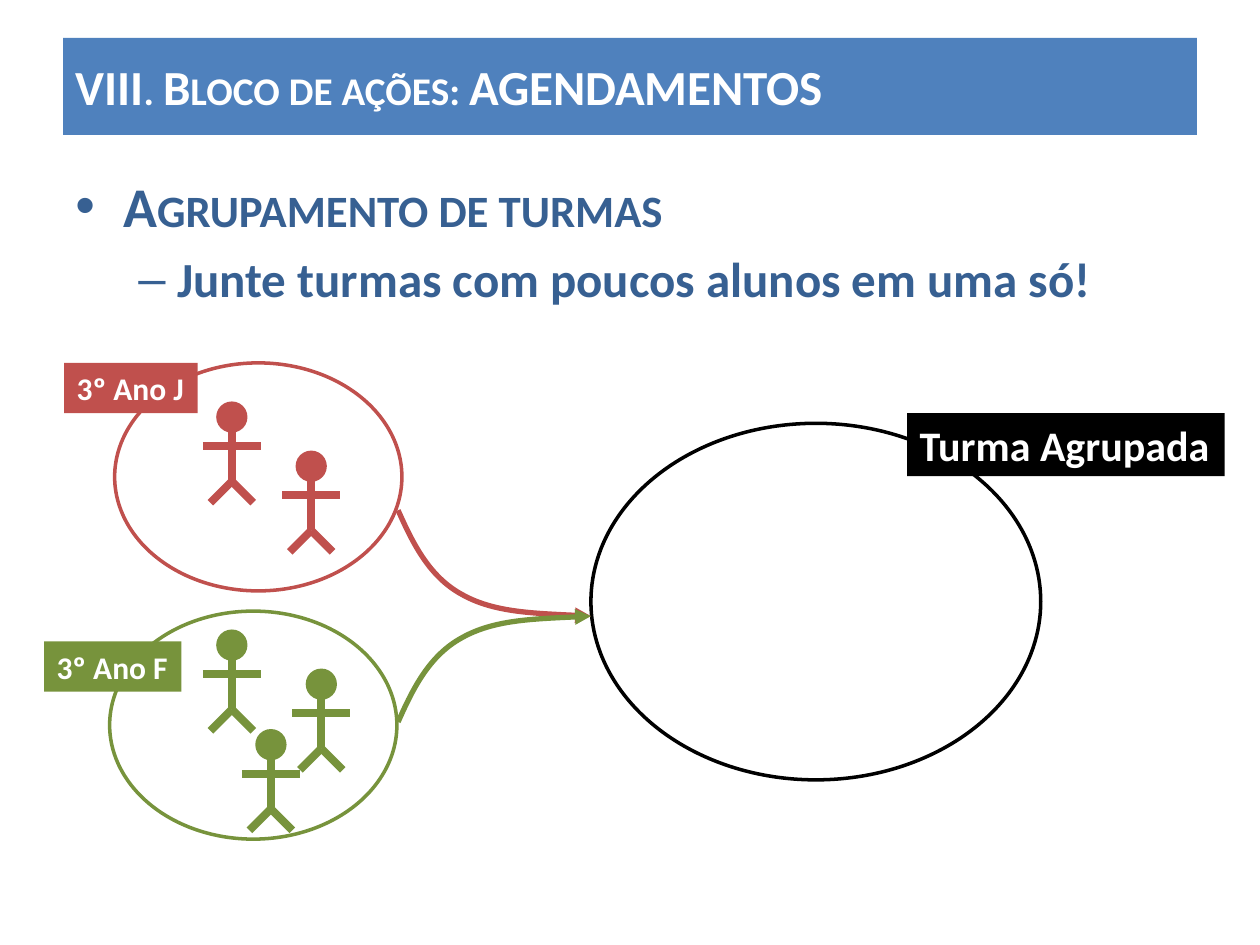
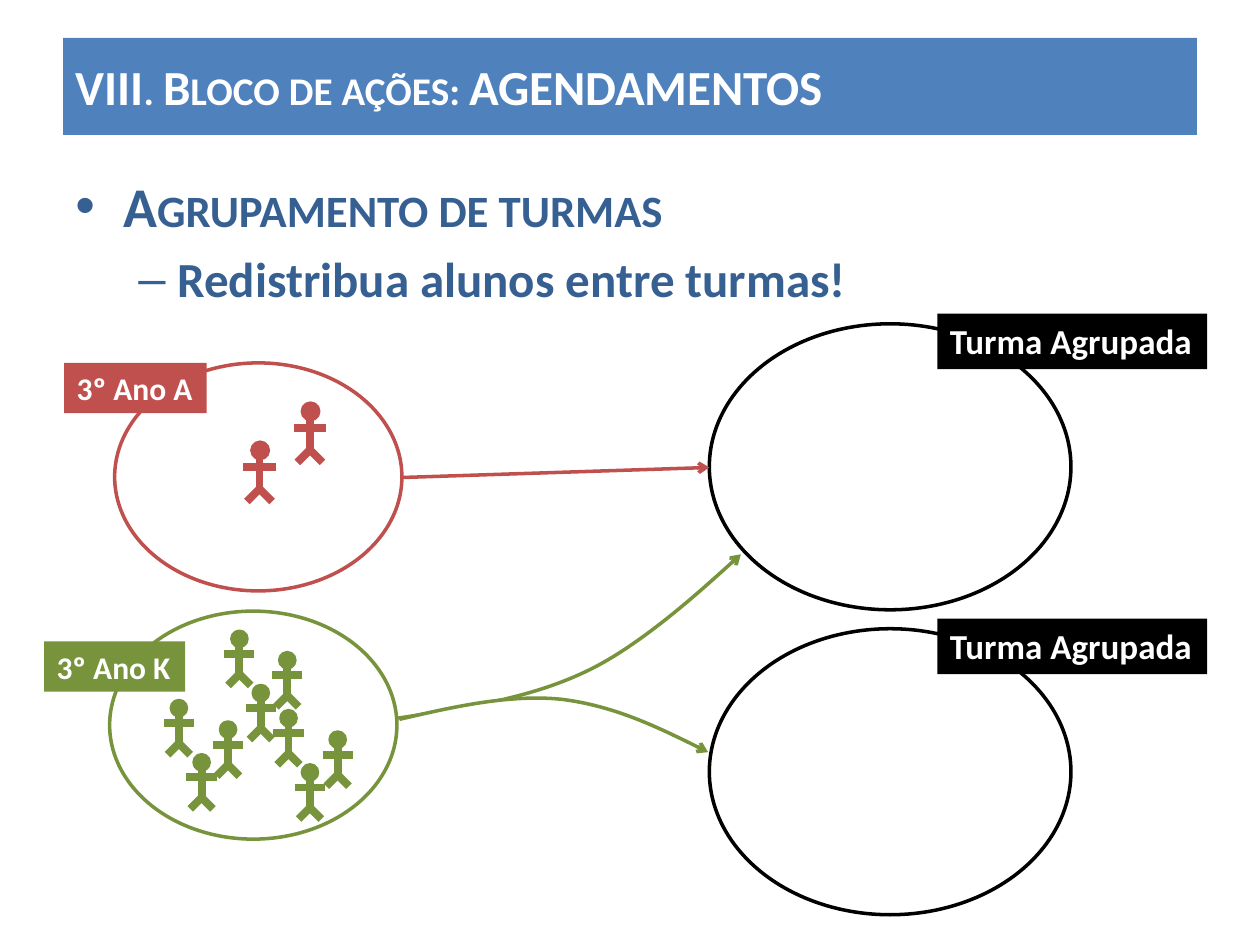
from lxml.etree import SubElement
from pptx import Presentation
from pptx.dml.color import RGBColor
from pptx.enum.shapes import MSO_CONNECTOR as Connector, MSO_SHAPE as Shape
from pptx.enum.text import MSO_ANCHOR as Anchor, MSO_AUTO_SIZE as AutoSize, PP_ALIGN as Align
from pptx.oxml.ns import qn
from pptx.util import Emu, Pt

PX = 9144
RED, GREEN, BLACK, WHITE = "C0504D", "77933C", "000000", "FFFFFF"
BAND, BODY = "4F81BD", "376092"
TITLE = "VIII. Bloco de ações: AGENDAMENTOS"
TOPIC = "Agrupamento de turmas"
RED_RING, GREEN_RING = (91, 288, 228, 181), (87, 485, 228, 181)


def px(*lengths):
    return [Emu(round(length) * PX) for length in lengths]


def rgb(value):
    return RGBColor.from_string(value)


def apply(target, **formats):
    for name, value in formats.items():
        setattr(target, name, value)


def place(shape, box):
    apply(shape, **dict(zip(("left", "top", "width", "height"), px(*box))))


def paint(shape, color):
    shape.fill.solid()
    shape.fill.fore_color.rgb = rgb(color)


def outline(shape, color, points):
    shape.line.color.rgb = rgb(color)
    shape.line.width = Pt(points)


def write(paragraph, text, size, color, small_caps=False):
    run = paragraph.add_run()
    run.text = text
    apply(run.font, name="Calibri", size=Pt(size), bold=True)
    run.font.color.rgb = rgb(color)
    if small_caps:
        run.font._element.set("cap", "small")


def add_bullet(paragraph, char, margin, hanging):
    properties = paragraph._p.get_or_add_pPr()
    properties.set("marL", str(margin * PX))
    properties.set("indent", str(-hanging * PX))
    SubElement(properties, qn("a:buFont")).set("typeface", "Arial")
    SubElement(properties, qn("a:buChar")).set("char", char)


def add_arrowhead(shape, kind):
    line = shape._element.spPr.find(qn("a:ln"))
    SubElement(line, qn("a:tailEnd")).set("type", kind)


def add_ellipse(shapes, box, color, filled=False):
    ellipse = shapes.add_shape(Shape.OVAL, *px(*box))
    ellipse.shadow.inherit = False
    if filled:
        paint(ellipse, color)
    else:
        ellipse.fill.background()
    outline(ellipse, color, 2)


def add_line(shapes, start, end, color, points, head=None):
    line = shapes.add_connector(Connector.STRAIGHT, *px(*start, *end))
    outline(line, color, points)
    if head:
        add_arrowhead(line, head)
    SubElement(line._element.spPr, qn("a:effectLst"))


def add_curve(slide, points, color, width, head, fill=None):
    builder = slide.shapes.build_freeform(*points[0], scale=PX)
    builder.add_line_segments(points[1:], close=False)
    curve = builder.convert_to_shape()
    curve.shadow.inherit = False
    if fill:
        paint(curve, fill)
    else:
        curve.fill.background()
    outline(curve, color, width)
    add_arrowhead(curve, head)
    path = curve._element.find(".//" + qn("a:path"))
    corners = path.findall(qn("a:lnTo"))
    for first in range(0, len(corners), 3):
        bezier = SubElement(path, qn("a:cubicBezTo"))
        for corner in corners[first:first + 3]:
            bezier.append(corner[0])
            path.remove(corner)


def add_student(shapes, x, top, height, color):
    head = round(0.28 * height)
    arms, hip = top + 0.43 * height, top + 0.785 * height
    reach, stride, feet = 0.285 * height, 0.215 * height, top + height
    add_ellipse(shapes, (x - head / 2, top, head, head), color, filled=True)
    limbs = [((x, top + head), (x, hip)), ((x - reach, arms), (x + reach, arms)),
             ((x, hip), (x + stride, feet)), ((x, hip), (x - stride, feet))]
    for start, end in limbs:
        add_line(shapes, start, end, color, 4.5)


def add_students(slide, spots, height, color):
    group = slide.shapes.add_group_shape()
    for x, top in spots:
        add_student(group.shapes, x, top, height, color)


def add_label(slide, box, text, size, color):
    label = slide.shapes.add_textbox(*px(*box))
    paint(label, color)
    apply(label.text_frame, word_wrap=False, auto_size=AutoSize.SHAPE_TO_FIT_TEXT)
    write(label.text_frame.paragraphs[0], text, size, WHITE)


def add_class(slide, ring, tag, text, size, color):
    add_ellipse(slide.shapes, ring, color)
    add_label(slide, tag, text, size, color)


def add_slide(prs, message):
    slide = prs.slides.add_slide(prs.slide_layouts[5])
    title = slide.shapes.title
    place(title, (50, 30, 900, 77))
    paint(title, BAND)
    apply(title.text_frame, vertical_anchor=Anchor.MIDDLE, auto_size=AutoSize.NONE)
    heading = title.text_frame.paragraphs[0]
    heading.alignment = Align.LEFT
    write(heading, TITLE, 28, WHITE, small_caps=True)

    body = slide.shapes.add_textbox(*px(50, 131, 900, 142)).text_frame
    body.word_wrap = True
    topic, detail = body.paragraphs[0], body.add_paragraph()
    add_bullet(topic, "•", 38, 38)
    write(topic, TOPIC, 32, BODY, small_caps=True)
    detail.space_before = Pt(6)
    add_bullet(detail, "–", 81, 31)
    write(detail, message, 28, BODY)
    return slide


def build_merge(prs):
    slide = add_slide(prs, "Junte turmas com poucos alunos em uma só!")
    add_class(slide, RED_RING, (51, 288, 106, 40), "3º Ano J", 18, RED)
    add_class(slide, GREEN_RING, (35, 509, 109, 40), "3º Ano F", 18, GREEN)
    add_students(slide, [(184, 320), (247, 359)], 79, RED)
    add_students(slide, [(184, 501), (255, 532), (215, 580)], 79, GREEN)
    add_class(slide, (469, 336, 357, 283), (720, 328, 252, 50), "Turma Agrupada", 24, BLACK)
    upper = [(316, 405), (328, 432), (341, 458), (367, 472), (392, 486), (430, 487), (469, 489)]
    lower = [(x, 2 * 489 - y) for x, y in upper]
    add_curve(slide, upper, RED, 3, "triangle")
    add_curve(slide, lower, GREEN, 3, "triangle")


def build_redistribution(prs):
    slide = add_slide(prs, "Redistribua alunos entre turmas!")
    add_class(slide, RED_RING, (51, 288, 113, 40), "3º Ano A", 18, RED)
    add_class(slide, GREEN_RING, (35, 509, 112, 40), "3º Ano K", 18, GREEN)
    add_students(slide, [(190, 501), (207, 544), (142, 556), (181, 573), (160, 599),
                         (228, 518), (229, 564), (268, 581), (246, 607)], 43, GREEN)
    for drop in (0, 242):
        add_class(slide, (563, 257 + drop, 287, 227), (744, 249 + drop, 214, 44),
                  "Turma Agrupada", 20, BLACK)
    add_line(slide.shapes, (319, 379), (563, 371), RED, 2, "arrow")
    to_upper = [(316, 570), (367, 562), (419, 555), (465, 533), (510, 512), (588, 440), (588, 440)]
    to_lower = [(317, 571), (360, 561), (404, 551), (445, 555), (486, 560), (524, 578), (562, 597)]
    for route in (to_upper, to_lower):
        add_curve(slide, route, GREEN, 2, "arrow", fill=WHITE)
    add_students(slide, [(206, 351), (246, 320)], 47, RED)


def main():
    prs = Presentation()
    prs.slide_width, prs.slide_height = px(1000, 750)
    build_merge(prs)
    build_redistribution(prs)
    prs.save("out.pptx")


if __name__ == "__main__":
    main()
